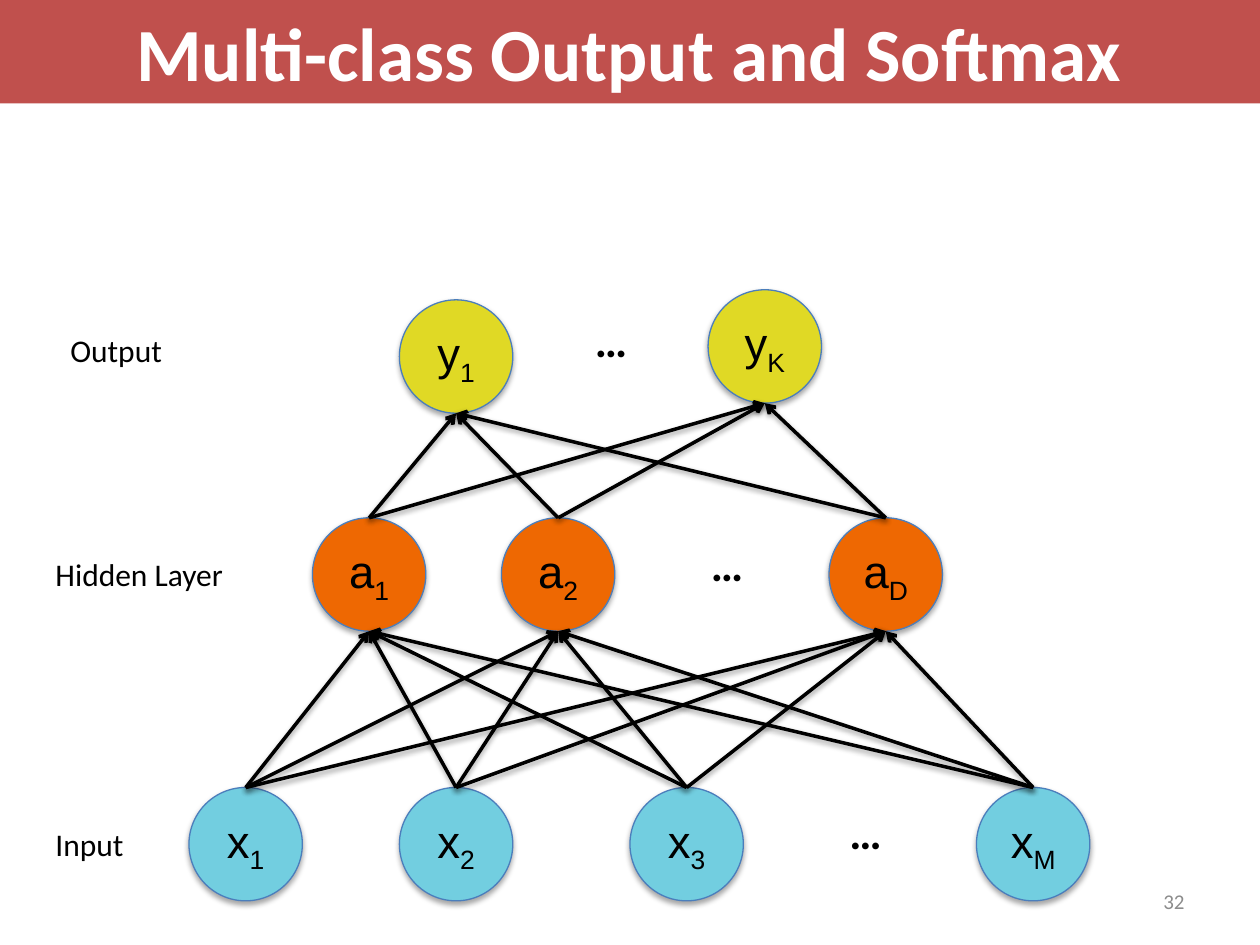
import lxml.etree
import pptx
import pptx.dml.color
import pptx.enum.shapes
import pptx.enum.text
import pptx.oxml.ns
import pptx.util

PX = 9144  # EMU per px, 100 px to the inch
NODE = 90
COLORS = {
    "banner": "C0504D", "white": "FFFFFF", "black": "000000", "page": "8C8C8C",
    "input": "72CEE0", "hidden": "EE6802", "output": "E0D925", "rim": "4B7EBC",
}
FORMATS = {
    "title": {"name": "Calibri", "size": pptx.util.Pt(42.9), "bold": True},
    "label": {"name": "Calibri", "size": pptx.util.Pt(18)},
    "dots": {"name": "Calibri", "size": pptx.util.Pt(26), "bold": True},
    "node": {"name": "Arial", "size": pptx.util.Pt(26)},
    "page": {"name": "Calibri", "size": pptx.util.Pt(12)},
}
ALIGN = pptx.enum.text.PP_ALIGN
ANCHOR = pptx.enum.text.MSO_ANCHOR
SHAPE = pptx.enum.shapes.MSO_SHAPE


def px(*lengths):
    return [pptx.util.Emu(length * PX) for length in lengths]


def rgb(key):
    return pptx.dml.color.RGBColor.from_string(COLORS[key])


def add_run(paragraph, text, style, color):
    run = paragraph.add_run()
    run.text = text
    for attribute, value in FORMATS[style].items():
        setattr(run.font, attribute, value)
    run.font.color.rgb = rgb(color)
    return run


def add_text(slide, box, text, style, align, anchor=ANCHOR.TOP, color="black"):
    frame = slide.shapes.add_textbox(*px(*box)).text_frame
    frame.word_wrap = True
    frame.vertical_anchor = anchor
    frame.paragraphs[0].alignment = align
    add_run(frame.paragraphs[0], text, style, color)


def add_shadow(item, distance, opacity):
    """Drop a soft black shadow straight down; distance in EMU, opacity in percent."""
    properties = item._element.spPr
    qn = pptx.oxml.ns.qn
    effects = lxml.etree.SubElement(properties, qn("a:effectLst"))
    shadow = lxml.etree.SubElement(
        effects, qn("a:outerShdw"), blurRad="40000", dist=str(distance),
        dir="5400000", rotWithShape="0")
    tint = lxml.etree.SubElement(shadow, qn("a:srgbClr"), val=COLORS["black"])
    lxml.etree.SubElement(tint, qn("a:alpha"), val=str(opacity * 1000))


def draw_banner(slide, box, title):
    banner = slide.shapes.add_shape(SHAPE.RECTANGLE, *px(*box))
    banner.shadow.inherit = False
    banner.fill.solid()
    banner.fill.fore_color.rgb = rgb("banner")
    banner.line.fill.background()
    banner.text_frame.vertical_anchor = ANCHOR.TOP
    heading = banner.text_frame.paragraphs[0]
    heading.alignment = ALIGN.CENTER
    add_run(heading, title, "title", "white")


def draw_node(slide, left, top, symbol, index, color):
    node = slide.shapes.add_shape(SHAPE.FLOWCHART_CONNECTOR, *px(left, top, NODE, NODE))
    node.fill.solid()
    node.fill.fore_color.rgb = rgb(color)
    node.line.color.rgb = rgb("rim")
    node.line.width = pptx.util.Pt(0.75)
    add_shadow(node, 23000, 35)
    node.text_frame.vertical_anchor = ANCHOR.MIDDLE
    name = node.text_frame.paragraphs[0]
    name.alignment = ALIGN.CENTER
    add_run(name, symbol, "node", "black")
    subscript = add_run(name, index, "node", "black")
    subscript._r.get_or_add_rPr().set("baseline", "-25000")


def draw_layer(slide, box, color, symbol, nodes, dots, label):
    """Draw one row of units; nodes are (index, dx, dy). Return their left-top corners."""
    left, top = box
    corners = []
    for index, dx, dy in nodes:
        draw_node(slide, left + dx, top + dy, symbol, index, color)
        corners.append((left + dx, top + dy))
    dots_dx, dots_dy = dots
    add_text(slide, (left + dots_dx, top + dots_dy, 58, 54), "…", "dots",
             ALIGN.CENTER, ANCHOR.MIDDLE)
    text, dx, dy, width, align = label
    add_text(slide, (left + dx, top + dy, width, 40), text, "label", align)
    return corners


def connect_layers(slide, upper, lower):
    """Join every unit below to every unit above, with the arrowhead above."""
    half = NODE // 2
    for upper_left, upper_top in upper:
        for lower_left, lower_top in lower:
            link = slide.shapes.add_connector(
                pptx.enum.shapes.MSO_CONNECTOR.STRAIGHT,
                *px(upper_left + half, upper_top + NODE, lower_left + half, lower_top))
            link.line.color.rgb = rgb("black")
            link.line.width = pptx.util.Pt(2)
            lxml.etree.SubElement(link.line._get_or_add_ln(),
                                  pptx.oxml.ns.qn("a:headEnd"), type="arrow")
            add_shadow(link, 20000, 38)


def main():
    deck = pptx.Presentation()
    deck.slide_width, deck.slide_height = px(1000, 750)
    slide = deck.slides.add_slide(deck.slide_layouts[6])

    add_text(slide, (717, 695, 233, 40), "32", "page", ALIGN.RIGHT, ANCHOR.MIDDLE, "page")
    inputs = draw_layer(
        slide, (0, 625), "input", "x",
        [("1", 150, 0), ("2", 317, 0), ("3", 500, 0), ("M", 775, 0)],
        (658, 8), ("Input", 0, 25, 142, ALIGN.CENTER))
    hidden = draw_layer(
        slide, (0, 411), "hidden", "a",
        [("1", 248, 0), ("2", 398, 0), ("D", 658, 0)],
        (548, 9), ("Hidden Layer", -2, 25, 225, ALIGN.CENTER))
    outputs = draw_layer(
        slide, (0, 230), "output", "y",
        [("1", 317, 8), ("K", 562, 0)],
        (456, 12), ("Output", 46, 28, 142, ALIGN.LEFT))
    connect_layers(slide, hidden, inputs)
    connect_layers(slide, outputs, hidden)
    draw_banner(slide, (-2, 0, 1002, 82), "Multi-class Output and Softmax")
    deck.save("out.pptx")


if __name__ == "__main__":
    main()
